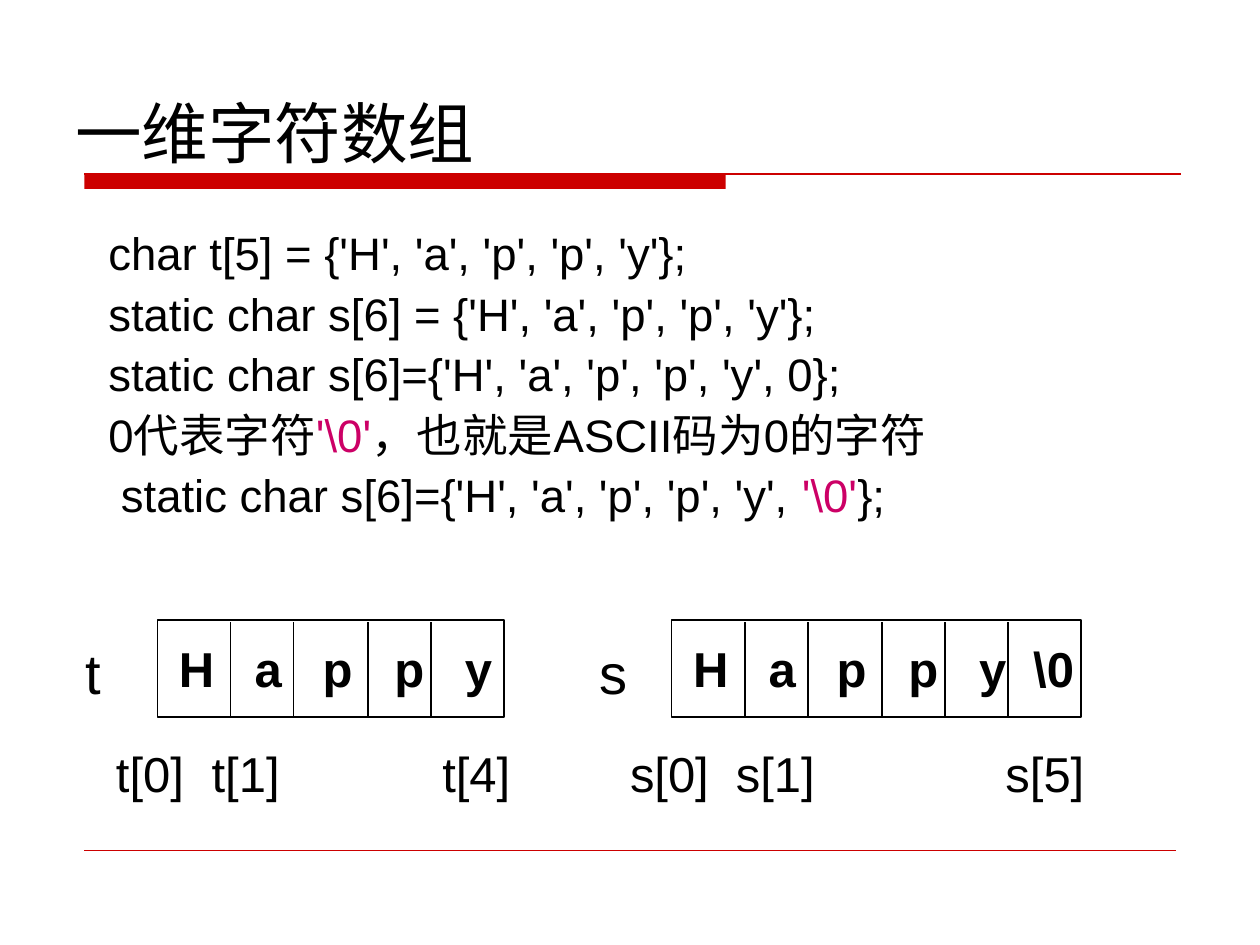
from dataclasses import dataclass

from lxml.etree import SubElement
from pptx import Presentation
from pptx.dml.color import RGBColor
from pptx.enum.shapes import MSO_CONNECTOR, MSO_SHAPE
from pptx.enum.text import MSO_ANCHOR
from pptx.oxml.ns import qn
from pptx.util import Inches, Pt

BLACK = RGBColor(0x00, 0x00, 0x00)
RED = RGBColor(0xCC, 0x00, 0x00)
PINK = RGBColor(0xCC, 0x00, 0x66)

NUL = ("'\\0'", PINK)
CODE = [
    ["char t[5] = {'H', 'a', 'p', 'p', 'y'};"],
    ["static char s[6] = {'H', 'a', 'p', 'p', 'y'};"],
    ["static char s[6]={'H', 'a', 'p', 'p', 'y', 0};"],
    ["0代表字符", NUL, "，也就是ASCII码为0的字符"],
    [" static char s[6]={'H', 'a', 'p', 'p', 'y', ", NUL, "};"],
]

# Offsets from the left edge of an array box or of its text
DIVIDERS = (0.58, 1.08, 1.67, 2.17, 2.67)
LETTER_TABS = (0.6, 1.14, 1.71, 2.27, 2.7)


@dataclass(frozen=True)
class CharArray:
    name: str
    left: float
    width: float
    cells: tuple[str, ...]
    index_tabs: tuple[float, float]


ARRAYS = (
    CharArray("s", 5.33, 3.25, ("H", "a", "p", "p", "y", "\\0"), (0.84, 2.98)),
    CharArray("t", 1.25, 2.75, ("H", "a", "p", "p", "y"), (0.76, 2.59)),
)


def add_text(shapes, paragraphs: list, left: float, top: float, width: float,
             height: float, *, size: float, bold: bool = False,
             inset: float = 0.1, tabs: tuple = (), before: float = 0,
             spacing: float = 1.0, anchor=MSO_ANCHOR.TOP) -> None:
    """Each paragraph is a list of runs: a string, or a (string, colour) pair."""
    box = shapes.add_textbox(Inches(left), Inches(top), Inches(width), Inches(height))
    tf = box.text_frame
    tf.word_wrap = True
    tf.vertical_anchor = anchor
    tf.margin_left = Inches(inset)
    for i, runs in enumerate(paragraphs):
        p = tf.add_paragraph() if i else tf.paragraphs[0]
        p.line_spacing = spacing
        p.space_before = Pt(before if i else 0)
        if tabs:
            tab_list = SubElement(p._p.get_or_add_pPr(), qn("a:tabLst"))
            for tab in tabs:
                SubElement(tab_list, qn("a:tab"), pos=str(Inches(tab)), algn="l")
        for run in runs:
            text, color = (run, BLACK) if isinstance(run, str) else run
            r = p.add_run()
            r.text = text
            r.font.name = "Arial"
            r.font.size = Pt(size)
            r.font.bold = bold
            r.font.color.rgb = color


def add_line(shapes, x1: float, y1: float, x2: float, y2: float,
             color: RGBColor, width: float) -> None:
    line = shapes.add_connector(MSO_CONNECTOR.STRAIGHT, Inches(x1), Inches(y1),
                                Inches(x2), Inches(y2))
    line.line.color.rgb = color
    line.line.width = Pt(width)
    SubElement(line._element.spPr, qn("a:effectLst"))


def add_rect(shapes, left: float, top: float, width: float, height: float):
    sp = shapes.add_shape(MSO_SHAPE.RECTANGLE, Inches(left), Inches(top),
                          Inches(width), Inches(height))
    sp.shadow.inherit = False
    return sp


def add_array(shapes, array: CharArray) -> None:
    """Draw the named row of cells with the index labels below it."""
    group = shapes.add_group_shape().shapes
    left, name, count = array.left, array.name, len(array.cells)
    labels = "\t".join(f"{name}[{i}]" for i in (0, 1, count - 1))
    add_text(group, [[labels]], left - 0.5, 5.85, 3.92, 0.56,
             size=28, inset=0.17, tabs=array.index_tabs)
    frame = add_rect(group, left, 4.92, array.width, 0.77)
    frame.fill.background()
    frame.line.color.rgb = BLACK
    frame.line.width = Pt(1)
    for offset in DIVIDERS[:count - 1]:
        add_line(group, left + offset, 4.94, left + offset, 5.69, BLACK, 1)
    add_text(group, [[name]], left - 0.67, 5.02, 0.58, 0.63, size=32)
    add_text(group, [["\t".join(array.cells)]], left, 5.02, 3.42, 0.56,
             size=28, bold=True, inset=0.17, tabs=LETTER_TABS[:count - 1])


def main() -> None:
    prs = Presentation()
    prs.slide_width, prs.slide_height = Inches(10), Inches(7.5)
    s = prs.slides.add_slide(prs.slide_layouts[6])

    band = add_rect(s.shapes, 0.67, 1.38, 5.09, 0.12)
    band.fill.solid()
    band.fill.fore_color.rgb = RED
    band.line.fill.background()
    add_line(s.shapes, 0.67, 1.38, 9.37, 1.38, RED, 0.75)
    add_line(s.shapes, 0.67, 6.75, 9.33, 6.75, RED, 0.25)

    add_text(s.shapes, [["一维字符数组"]], 0.5, 0.45, 8, 0.96,
             size=38, anchor=MSO_ANCHOR.BOTTOM)
    add_text(s.shapes, CODE, 0.25, 1.79, 9.08, 3.37,
             size=26, inset=0.61, before=6.5, spacing=0.9)
    for array in ARRAYS:
        add_array(s.shapes, array)

    prs.save("out.pptx")


if __name__ == "__main__":
    main()
